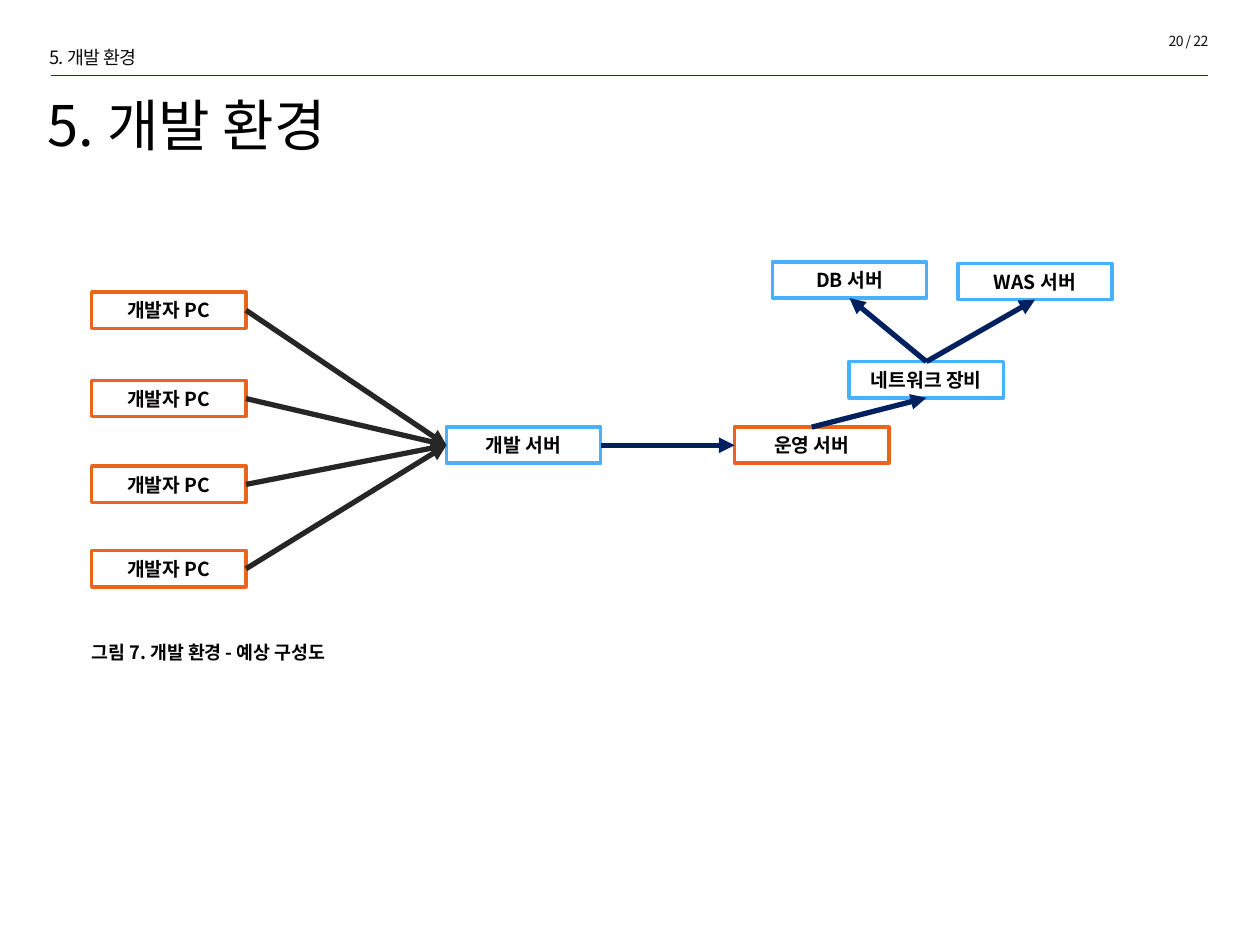
"""Build the development environment slide with its server diagram."""
from lxml import etree
from pptx import Presentation
from pptx.dml.color import RGBColor
from pptx.enum.shapes import MSO_CONNECTOR, MSO_SHAPE
from pptx.enum.text import MSO_ANCHOR, MSO_AUTO_SIZE, PP_ALIGN
from pptx.oxml.ns import qn
from pptx.util import Cm, Pt

FONT = "Noto Sans CJK KR"
ORANGE, BLUE, NAVY, CHARCOAL = "EB641B", "47B0FF", "002060", "262626"
LEFT, CENTER, RIGHT = PP_ALIGN.LEFT, PP_ALIGN.CENTER, PP_ALIGN.RIGHT
MIDDLE, NO_AUTOFIT = MSO_ANCHOR.MIDDLE, MSO_AUTO_SIZE.NONE
STRAIGHT, RECTANGLE = MSO_CONNECTOR.STRAIGHT, MSO_SHAPE.RECTANGLE
TOP_SITE, LEFT_SITE, BOTTOM_SITE, RIGHT_SITE = range(4)
BOX_WIDTH, BOX_HEIGHT = 3.11, 0.73


def write(shape, text, size, align=LEFT, color="000000", bold=False, spacing=None):
    shape.text_frame.word_wrap = True
    paragraph = shape.text_frame.paragraphs[0]
    paragraph.alignment = align
    run = paragraph.add_run()
    run.text = text
    formats = {"size": Pt(size), "name": FONT, "bold": bold}
    for name, value in formats.items():
        setattr(run.font, name, value)
    run.font.color.rgb = RGBColor.from_string(color)
    properties = run.font._element
    etree.SubElement(properties, qn("a:ea"), typeface=FONT)
    if spacing:
        properties.set("spc", str(spacing))


def style_line(connector, color, width, arrow=False):
    connector.line.color.rgb = RGBColor.from_string(color)
    connector.line.width = Pt(width)
    if arrow:
        etree.SubElement(connector.line._get_or_add_ln(), qn("a:tailEnd"), type="triangle")
    etree.SubElement(connector._element.spPr, qn("a:effectLst"))


presentation = Presentation()
presentation.slide_width, presentation.slide_height = Cm(25.4), Cm(19.05)
slide = presentation.slides.add_slide(presentation.slide_layouts[5])
shapes = slide.shapes

title = shapes.title
geometry = {"left": 0.71, "top": 1.47, "width": 23.27, "height": 2.54}
for name, value in geometry.items():
    setattr(title, name, Cm(value))
title.text_frame.vertical_anchor = MIDDLE
title.text_frame.auto_size = NO_AUTOFIT
write(title, "5. 개발 환경", 32)
title.text_frame.paragraphs[0].line_spacing = Pt(25)

labels = [
    ("5. 개발 환경", 0.74, 0.81, 4.39, 0.71, {"size": 10.5, "color": "0D0D0D", "spacing": -30}),
    ("20 / 22", 20.22, 0.53, 4.39, 0.61,
     {"size": 8, "align": RIGHT, "color": "0D0D0D", "spacing": -30}),
    ("그림 7. 개발 환경 - 예상 구성도", 1.6, 12.8, 5.49, 0.71, {"size": 10.5, "bold": True}),
]
for text, left, top, width, height, formats in labels:
    label = shapes.add_textbox(Cm(left), Cm(top), Cm(width), Cm(height))
    write(label, text, **formats)

header_rule = shapes.add_connector(STRAIGHT, Cm(1.02), Cm(1.52), Cm(24.36), Cm(1.52))
style_line(header_rule, "1C314E", 0.25)

developer_tops = {"pc1": 5.89, "pc2": 7.67, "pc3": 9.4, "pc4": 11.1}
nodes = [(key, "개발자 PC", 1.85, top, ORANGE) for key, top in developer_tops.items()]
nodes += [
    ("development", "개발 서버", 9, 8.61, BLUE),
    ("production", "운영 서버", 14.81, 8.61, ORANGE),
    ("database", "DB 서버", 15.57, 5.28, BLUE),
    ("application", "WAS 서버", 19.31, 5.31, BLUE),
    ("network", "네트워크 장비", 17.12, 7.29, BLUE),
]
boxes = {}
for key, text, left, top, color in nodes:
    box = shapes.add_shape(RECTANGLE, Cm(left), Cm(top), Cm(BOX_WIDTH), Cm(BOX_HEIGHT))
    box.shadow.inherit = False
    box.fill.solid()
    box.fill.fore_color.rgb = RGBColor.from_string("FFFFFF")
    box.line.color.rgb = RGBColor.from_string(color)
    box.line.width = Pt(2)
    box.text_frame.vertical_anchor = MIDDLE
    write(box, text, 11, CENTER, bold=True)
    boxes[key] = box

links = [(key, RIGHT_SITE, "development", LEFT_SITE, CHARCOAL) for key in developer_tops]
links += [
    ("development", RIGHT_SITE, "production", LEFT_SITE, NAVY),
    ("production", TOP_SITE, "network", BOTTOM_SITE, NAVY),
    ("network", TOP_SITE, "application", BOTTOM_SITE, NAVY),
    ("network", TOP_SITE, "database", BOTTOM_SITE, NAVY),
]
for source, source_site, target, target_site, color in links:
    arrow = shapes.add_connector(STRAIGHT, 0, 0, 0, 0)
    arrow.begin_connect(boxes[source], source_site)
    arrow.end_connect(boxes[target], target_site)
    style_line(arrow, color, 3, arrow=True)

presentation.save("out.pptx")
